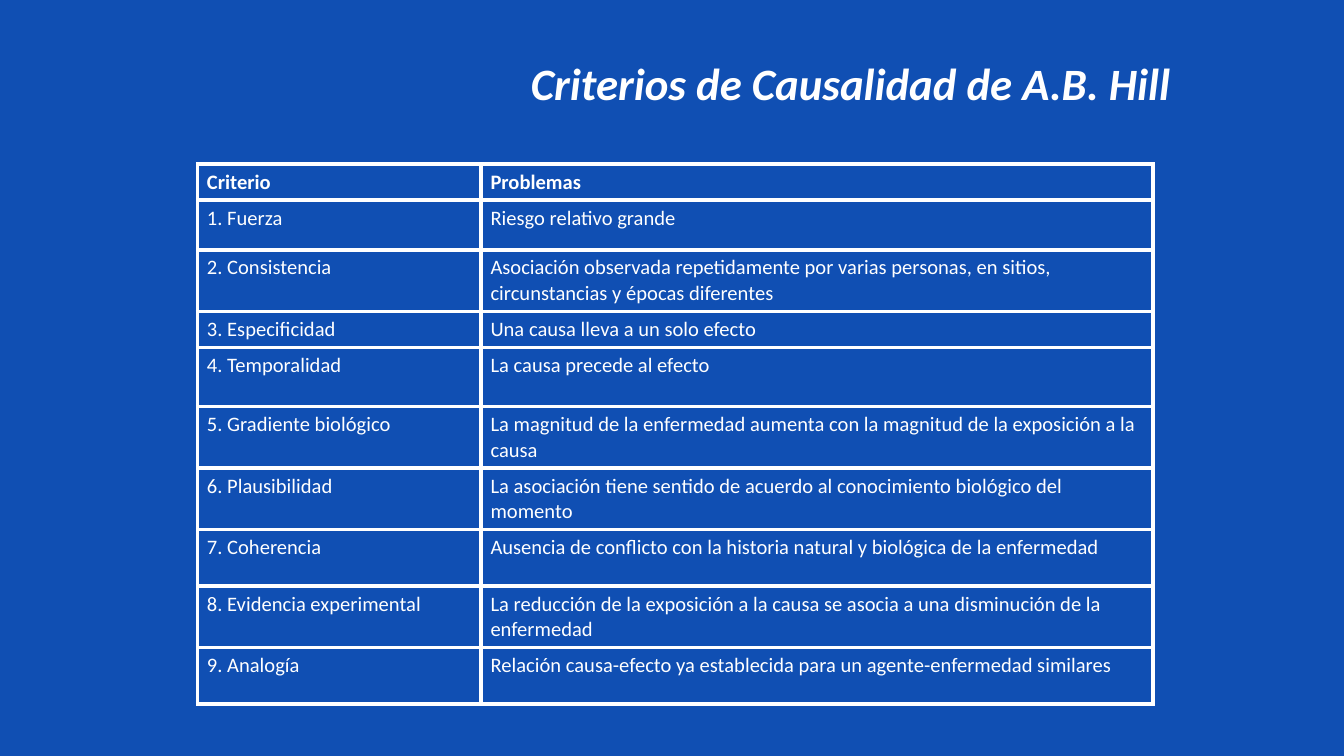
from lxml.etree import SubElement
from pptx import Presentation
from pptx.dml.color import RGBColor
from pptx.enum.text import MSO_ANCHOR, PP_ALIGN
from pptx.oxml.ns import qn
from pptx.util import Inches, Pt

BLUE = RGBColor(0x10, 0x4F, 0xB3)
WHITE = RGBColor(0xFF, 0xFF, 0xFF)
FONT = "Calibri"
BORDER_WIDTH = Pt(2.25)

# Content
TITLE = "Criterios de Causalidad de A.B. Hill"
HEADER = ("Criterio", "Problemas")
CRITERIA = [  # criterion, problem, row height
    ("Fuerza", "Riesgo relativo grande", 0.37),
    ("Consistencia", "Asociación observada repetidamente por varias personas, "
     "en sitios, circunstancias y épocas diferentes", 0.45),
    ("Especificidad", "Una causa lleva a un solo efecto", 0.27),
    ("Temporalidad", "La causa precede al efecto", 0.44),
    ("Gradiente biológico", "La magnitud de la enfermedad aumenta con la "
     "magnitud de la exposición a la causa", 0.45),
    ("Plausibilidad", "La asociación tiene sentido de acuerdo al conocimiento "
     "biológico del momento", 0.45),
    ("Coherencia", "Ausencia de conflicto con la historia natural y biológica "
     "de la enfermedad", 0.42),
    ("Evidencia experimental", "La reducción de la exposición a la causa se "
     "asocia a una disminución de la enfermedad", 0.45),
    ("Analogía", "Relación causa-efecto ya establecida para un "
     "agente-enfermedad similares", 0.42),
]
COLUMN_WIDTHS = (2.11, 5)
HEADER_HEIGHT = 0.27


def write(frame, text, size=11, bold=False, italic=False, align=PP_ALIGN.LEFT):
    paragraph = frame.paragraphs[0]
    paragraph.alignment = align
    run = paragraph.add_run()
    run.text = text
    run.font.name = FONT
    run.font.size = Pt(size)
    run.font.bold = bold
    run.font.italic = italic
    run.font.color.rgb = WHITE


def outline(cell):
    properties = cell._tc.get_or_add_tcPr()
    for side in ("lnL", "lnR", "lnT", "lnB"):
        line = SubElement(properties, qn(f"a:{side}"), w=str(BORDER_WIDTH))
        fill = SubElement(line, qn("a:solidFill"))
        SubElement(fill, qn("a:srgbClr"), val=str(WHITE))


# Widescreen slide, 16:9
prs = Presentation()
prs.slide_width = Inches(10)
prs.slide_height = prs.slide_width * 9 // 16
slide = prs.slides.add_slide(prs.slide_layouts[5])
slide.background.fill.solid()
slide.background.fill.fore_color.rgb = BLUE

# Title
title = slide.shapes.title
title.left, title.top = Inches(3.29), Inches(0.13)
title.width, title.height = Inches(6.08), Inches(0.97)
title.text_frame.vertical_anchor = MSO_ANCHOR.MIDDLE
write(title.text_frame, TITLE, size=24, bold=True, italic=True,
      align=PP_ALIGN.CENTER)

# Criteria table
rows = [HEADER] + [(f"{number}. {name}", problem)
                   for number, (name, problem, _) in enumerate(CRITERIA, 1)]
heights = [HEADER_HEIGHT] + [height for _, _, height in CRITERIA]
table = slide.shapes.add_table(
    len(rows), len(HEADER), Inches(1.47), Inches(1.22),
    Inches(sum(COLUMN_WIDTHS)), Inches(sum(heights))).table
table.horz_banding = False
for column, width in zip(table.columns, COLUMN_WIDTHS):
    column.width = Inches(width)
for r, (texts, height) in enumerate(zip(rows, heights)):
    table.rows[r].height = Inches(height)
    for c, text in enumerate(texts):
        cell = table.cell(r, c)
        cell.margin_left = cell.margin_right = Inches(0.07)
        cell.margin_top = cell.margin_bottom = Inches(0.04)
        outline(cell)
        cell.fill.background()
        write(cell.text_frame, text, bold=r == 0)

prs.save("out.pptx")
